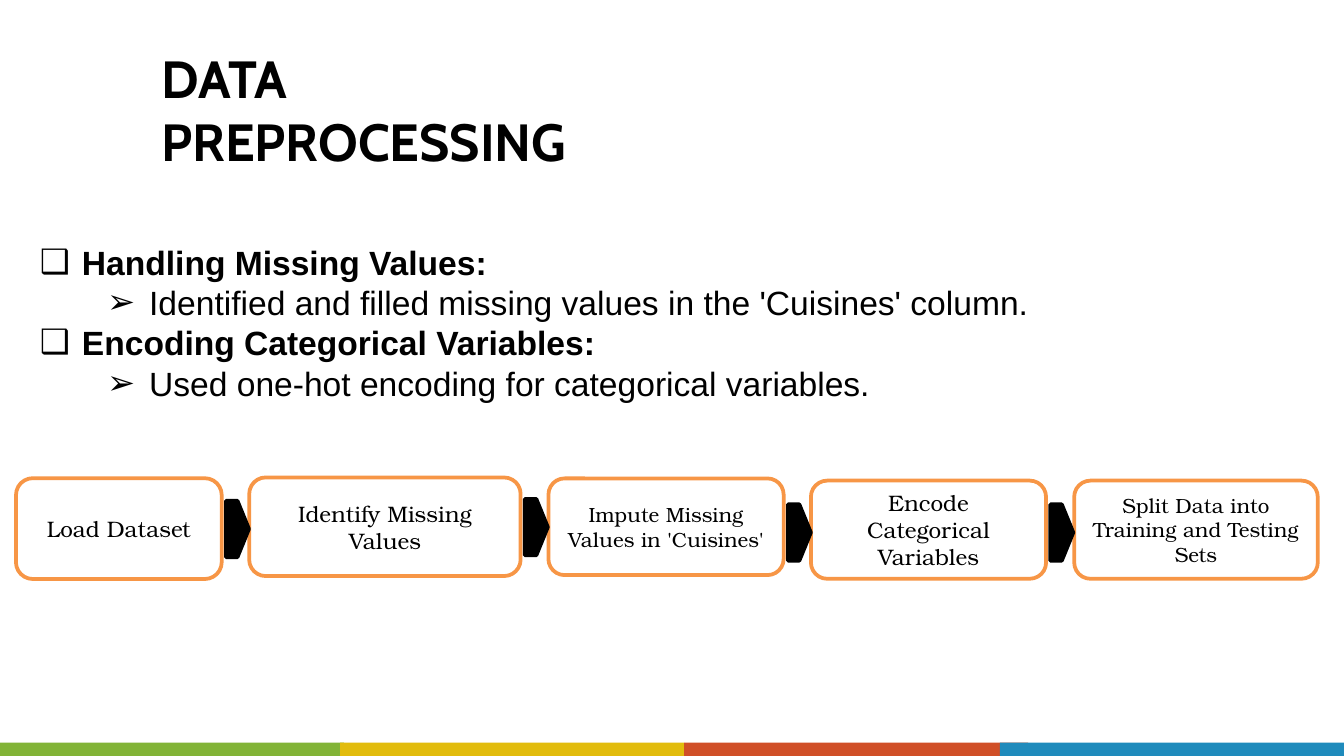
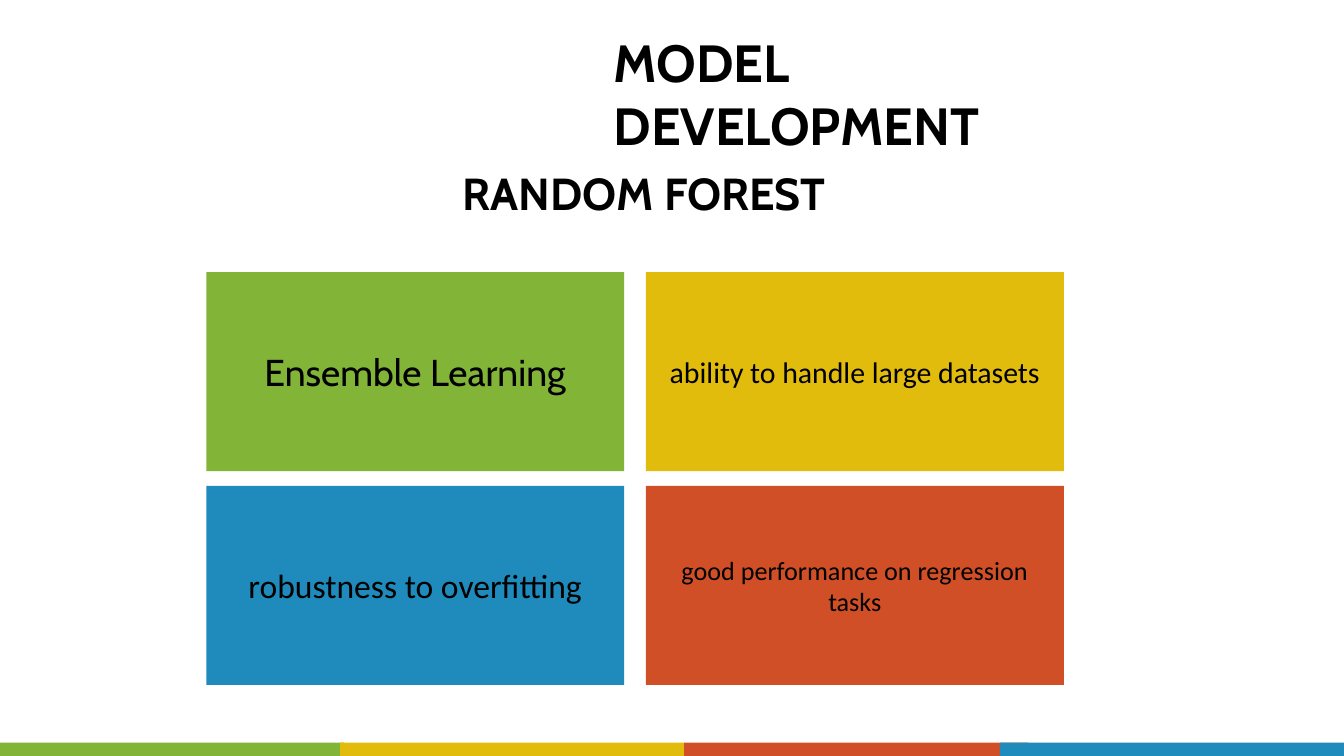
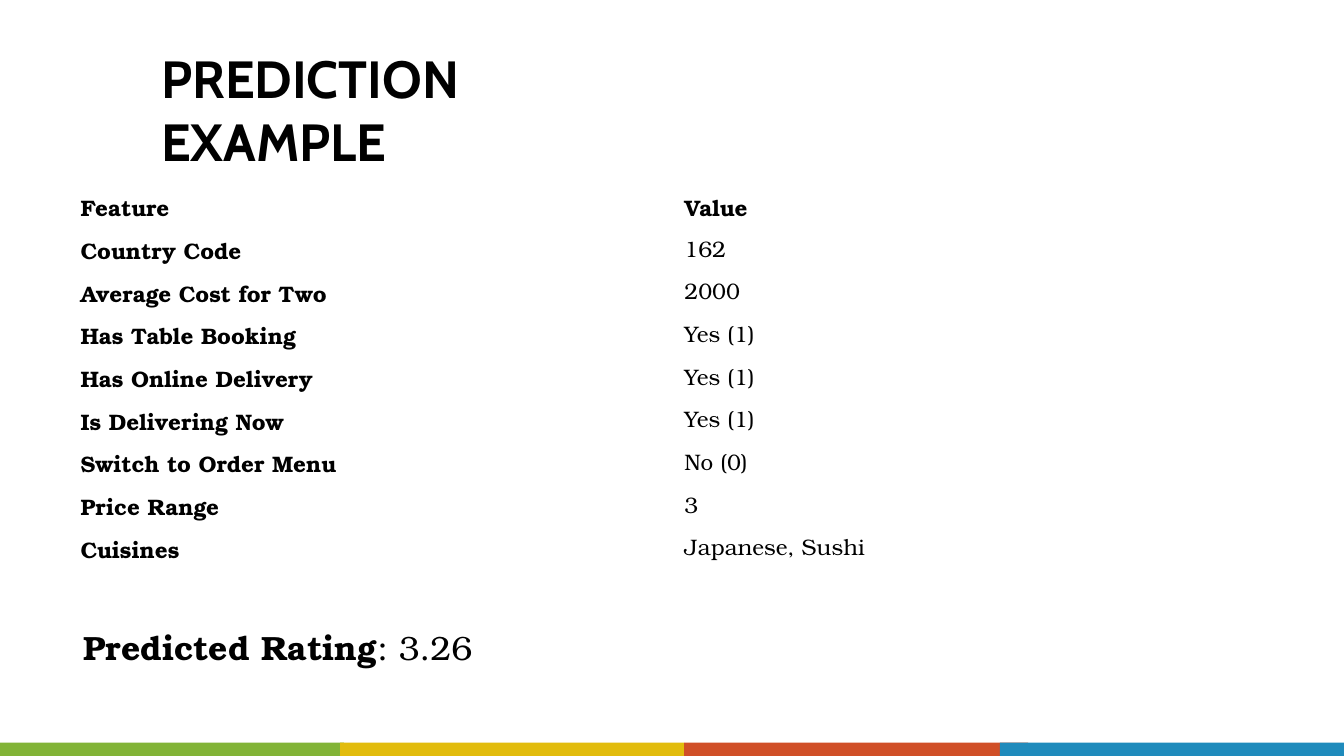
"""Builds three slides on data preprocessing, model development and a prediction."""
import pptx
import pptx.dml.color
import pptx.enum.shapes
import pptx.enum.text
import pptx.oxml
import pptx.oxml.ns
import pptx.util

Pt = pptx.util.Pt
SHAPE = pptx.enum.shapes.MSO_SHAPE
ALIGN = pptx.enum.text.PP_ALIGN
ANCHOR = pptx.enum.text.MSO_ANCHOR
COLORS = {
    "green": "82B437", "yellow": "E2BC0D", "red": "D04F27", "blue": "1F8BBC",
    "orange": "F79646", "black": "000000", "white": "FFFFFF",
}
HEADING_FONT, LIST_FONT, SERIF_FONT, PLAIN_FONT = "Cabin", "Arial", "TeX Gyre Bonum", "Calibri"


def format_text(frame, face, size, bold=False, align=ALIGN.LEFT, anchor=ANCHOR.TOP):
    frame.word_wrap = True
    frame.vertical_anchor = anchor
    for para in frame.paragraphs:
        para.alignment = align
        for span in para.runs:
            span.font.name, span.font.size, span.font.bold = face, Pt(size), bold
            span.font.color.rgb = pptx.dml.color.RGBColor.from_string(COLORS["black"])


def add_block(shapes, kind, bounds, fill, line=None):
    block = shapes.add_shape(kind, *map(Pt, bounds))
    block.shadow.inherit = False
    block.fill.solid()
    block.fill.fore_color.rgb = pptx.dml.color.RGBColor.from_string(COLORS[fill])
    if line:
        block.line.color.rgb = pptx.dml.color.RGBColor.from_string(COLORS[line])
        block.line.width = Pt(2)
    else:
        block.line.fill.background()
    return block


deck = pptx.Presentation()
deck.slide_width, deck.slide_height = Pt(720), Pt(405)

titles = [
    ("DATA PREPROCESSING", 1, 79.2, 21.1, 286.6),
    ("MODEL DEVELOPMENT", 5, 321.5, 12.7, 288.7),
    ("PREDICTION EXAMPLE", 5, 79.2, 21.1, 283.7),
]
bands = [("green", 0), ("yellow", 182.2), ("red", 366.5), ("blue", 535.7)]
pages = []
for wording, layout, left, top, width in titles:
    page = deck.slides.add_slide(deck.slide_layouts[layout])
    footer = page.shapes.add_group_shape()
    for color, band_left in bands:
        add_block(footer.shapes, SHAPE.RECTANGLE, (band_left, 397.8, 184.3, 10), color)
    title = page.shapes.title
    title.left, title.top, title.width, title.height = Pt(left), Pt(top), Pt(width), Pt(41)
    title.text_frame.text = wording
    title.text_frame.auto_size = pptx.enum.text.MSO_AUTO_SIZE.NONE
    format_text(title.text_frame, HEADING_FONT, 28, bold=True)
    pages.append(page)
preprocessing, model, prediction = pages

points = [
    ("Handling Missing Values:", 0),
    ("Identified and filled missing values in the 'Cuisines' column.", 1),
    ("Encoding Categorical Variables:", 0),
    ("Used one-hot encoding for categorical variables.", 1),
]
body = preprocessing.placeholders[1]
body.left, body.top, body.width, body.height = Pt(14.2), Pt(125.8), Pt(594), Pt(116.6)
body.text_frame.text = "\n".join(wording for wording, level in points)
body.text_frame.auto_size = pptx.enum.text.MSO_AUTO_SIZE.NONE
format_text(body.text_frame, LIST_FONT, 18)
for para, (wording, level) in zip(body.text_frame.paragraphs, points):
    para.level = level
    para.space_before = Pt(0)
    para.runs[0].font.bold = level == 0
    properties = para._p.get_or_add_pPr()
    properties.set("marL", str(Pt(22.5 + 36 * level)))
    properties.set("indent", str(Pt(-22.5)))
    bullet = pptx.oxml.parse_xml(f'<a:buChar {pptx.oxml.ns.nsdecls("a")} char="{"❑➢"[level]}"/>')
    properties.append(bullet)

steps = [
    ("Load Dataset", 12, (8.6, 256.2, 110.2, 54), 268.3),
    ("Identify Missing Values", 12, (133.5, 255.8, 145.4, 52.8), 267.3),
    ("Impute Missing Values in 'Cuisines'", 11, (293.8, 256.3, 126, 51.8), 270.2),
    ("Encode Categorical Variables", 12, (434.4, 257.5, 126, 52.6), 270.2),
    ("Split Data into Training and Testing Sets", 11, (575.5, 257.5, 130.5, 52.6), None),
]
for wording, size, bounds, arrow_top in steps:
    box = add_block(preprocessing.shapes, SHAPE.ROUNDED_RECTANGLE, bounds, "white", "orange")
    box.text_frame.text = wording
    format_text(box.text_frame, SERIF_FONT, size, align=ALIGN.CENTER, anchor=ANCHOR.MIDDLE)
for wording, size, (left, top, width, height), arrow_top in steps[:-1]:
    arrow_bounds = (left + width + 2.3, arrow_top, 12.3, 30.2)
    add_block(preprocessing.shapes, SHAPE.PENTAGON, arrow_bounds, "black", "black")

subtitle = model.shapes.add_textbox(Pt(240.9), Pt(85.3), Pt(298.8), Pt(36))
subtitle.text_frame.text = "RANDOM FOREST"
format_text(subtitle.text_frame, HEADING_FONT, 24, bold=True)

strengths = [
    ("Ensemble Learning", HEADING_FONT, 20, "green"),
    ("ability to handle large datasets", PLAIN_FONT, 16, "yellow"),
    ("robustness to overfitting", PLAIN_FONT, 18, "blue"),
    ("good performance on regression tasks", PLAIN_FONT, 14, "red"),
]
grid = model.shapes.add_group_shape()
for index, (wording, face, size, color) in enumerate(strengths):
    row, column = divmod(index, 2)
    bounds = (110.5 + 235.5 * column, 145.8 + 114.5 * row, 223.9, 106.6)
    tile = add_block(grid.shapes, SHAPE.RECTANGLE, bounds, color)
    frame = tile.text_frame
    frame.text = wording
    frame.margin_left = frame.margin_right = Pt(5)
    frame.margin_top = frame.margin_bottom = Pt(3)
    format_text(frame, face, size, align=ALIGN.CENTER, anchor=ANCHOR.MIDDLE)

features = [
    ("Feature", "Value"),
    ("Country Code", "162"),
    ("Average Cost for Two", "2000"),
    ("Has Table Booking", "Yes (1)"),
    ("Has Online Delivery", "Yes (1)"),
    ("Is Delivering Now", "Yes (1)"),
    ("Switch to Order Menu", "No (0)"),
    ("Price Range", "3"),
    ("Cuisines", "Japanese, Sushi"),
]
table = prediction.shapes.add_table(len(features), 2, Pt(36), Pt(98.6), Pt(647), Pt(205.9)).table
table.first_row = table.horz_banding = False
for row, values in enumerate(features):
    for column, wording in enumerate(values):
        cell = table.cell(row, column)
        heading = row == 0 or column == 0
        cell.fill.background()
        cell.text_frame.text = wording
        format_text(cell.text_frame, SERIF_FONT, 12, bold=heading)
        cell.vertical_anchor = ANCHOR.MIDDLE
        cell.margin_top, cell.margin_bottom = (Pt(3.6), Pt(1.5)) if heading else (Pt(2.5), Pt(2.5))

rating = prediction.shapes.add_textbox(Pt(37.7), Pt(332.6), Pt(360), Pt(28.8))
rating.text_frame.text = "Predicted Rating"
rating.text_frame.paragraphs[0].add_run().text = ": 3.26"
format_text(rating.text_frame, SERIF_FONT, 18)
rating.text_frame.paragraphs[0].runs[0].font.bold = True

deck.save("out.pptx")
